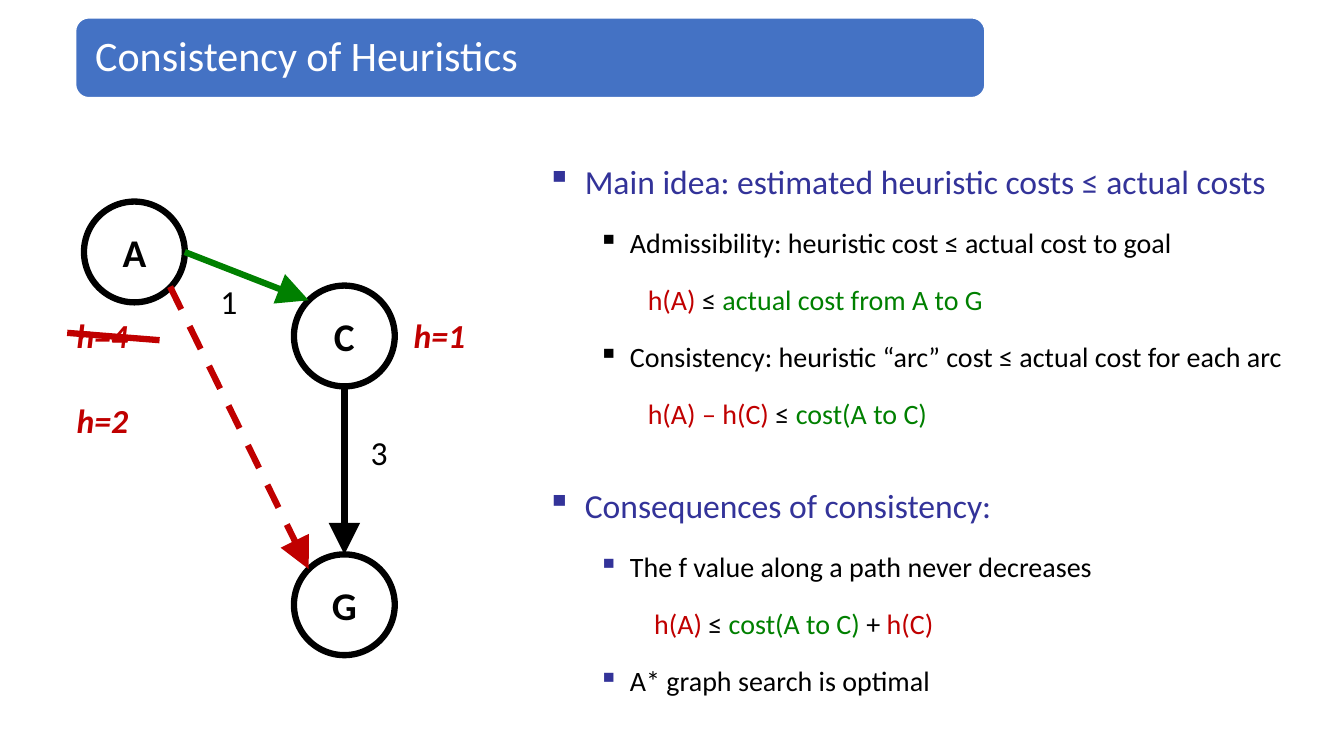
from dataclasses import dataclass

from lxml.etree import SubElement
from pptx import Presentation
from pptx.dml.color import RGBColor
from pptx.enum.dml import MSO_LINE
from pptx.enum.shapes import MSO_CONNECTOR, MSO_SHAPE
from pptx.enum.text import MSO_ANCHOR, PP_ALIGN
from pptx.oxml.ns import qn
from pptx.util import Emu, Pt

PX = 9525  # EMU per px, 96 px to the inch


@dataclass(frozen=True)
class Theme:
    font: str = "Calibri"
    black: str = "000000"
    white: str = "FFFFFF"
    banner: str = "4472C4"
    indigo: str = "333399"
    red: str = "C00000"
    green: str = "008000"
    title: int = 30
    node: int = 28
    heading: int = 24
    detail: int = 20
    stroke: float = 4.5


THEME = Theme()


class SlideBuilder:
    def __init__(self, page, theme):
        self.page = page
        self.theme = theme

    def frame(self, box, left=0, anchor=MSO_ANCHOR.TOP, wrap=True):
        text = box.text_frame
        text.word_wrap = wrap
        text.vertical_anchor = anchor
        text.margin_left = Emu(left * PX)
        text.margin_top = text.margin_right = text.margin_bottom = 0
        return text

    def span(self, para, words, size, color, bold=False, italic=False):
        run = para.add_run()
        run.text = words
        font = run.font
        font.name, font.size = self.theme.font, Pt(size)
        font.bold, font.italic = bold, italic
        font.color.rgb = RGBColor.from_string(color)

    def shape(self, kind, left, top, width, height, fill, line, weight):
        box = self.page.shapes.add_shape(
            kind, *(Emu(n * PX) for n in (left, top, width, height)))
        box.shadow.inherit = False
        box.fill.solid()
        box.fill.fore_color.rgb = RGBColor.from_string(fill)
        box.line.color.rgb = RGBColor.from_string(line)
        box.line.width = Pt(weight)
        return box

    def banner(self, words, left, top, width, height):
        theme = self.theme
        box = self.shape(MSO_SHAPE.ROUNDED_RECTANGLE, left, top, width, height,
                         theme.banner, theme.white, 1)
        para = self.frame(box, 15, MSO_ANCHOR.MIDDLE).paragraphs[0]
        para.alignment = PP_ALIGN.LEFT
        para.line_spacing = 0.9
        self.span(para, words, theme.title, theme.white)

    def node(self, name, left, top, size=96):
        theme = self.theme
        box = self.shape(MSO_SHAPE.OVAL, left, top, size, size,
                         theme.white, theme.black, theme.stroke)
        para = self.frame(box, 0, MSO_ANCHOR.MIDDLE, wrap=False).paragraphs[0]
        para.alignment = PP_ALIGN.CENTER
        self.span(para, name, theme.node, theme.black, bold=True)

    def edge(self, start, end, color, arrow=True, dashed=False):
        points = (Emu(n * PX) for n in (*start, *end))
        link = self.page.shapes.add_connector(MSO_CONNECTOR.STRAIGHT, *points)
        link.line.color.rgb = RGBColor.from_string(color)
        link.line.width = Pt(self.theme.stroke)
        if dashed:
            link.line.dash_style = MSO_LINE.DASH
        if arrow:
            SubElement(link.line._get_or_add_ln(), qn("a:tailEnd"),
                       type="triangle", w="lg", len="lg")
        SubElement(link._element.spPr, qn("a:effectLst"))

    def text_box(self, left, top, width, height, wrap=True):
        box = self.page.shapes.add_textbox(
            *(Emu(n * PX) for n in (left, top, width, height)))
        return self.frame(box, wrap=wrap)

    def label(self, words, left, top, color, strong=False):
        para = self.text_box(left, top, 52, 40, wrap=False).paragraphs[0]
        self.span(para, words, self.theme.heading, color, strong, strong)

    def outline(self, lines, left, top, width, height):
        text = self.text_box(left, top, width, height)
        for index, (before, size, indent, hang, bullet, spans) in enumerate(lines):
            para = text.add_paragraph() if index else text.paragraphs[0]
            if index:
                para.space_before = Pt(before)
            props = para._p.get_or_add_pPr()
            props.set("marL", str(indent * PX))
            props.set("indent", str(-hang * PX))
            if bullet:
                tint = SubElement(props, qn("a:buClr"))
                SubElement(tint, qn("a:srgbClr"), val=bullet)
                SubElement(props, qn("a:buChar"), char="▪")
            for words, color in spans:
                self.span(para, words, size, color)


# Kinds of outline line
def heading(words, before=0):
    return before, THEME.heading, 37, 36, THEME.indigo, [(words, THEME.indigo)]


def point(words, before=16.7, bullet=THEME.black):
    return before, THEME.detail, 80, 30, bullet, [(words, THEME.black)]


def formula(*spans, indent=97):
    return 16.7, THEME.detail, indent, 0, None, spans


def main():
    deck = Presentation()
    deck.slide_width, deck.slide_height = Emu(1280 * PX), Emu(720 * PX)
    page = deck.slides.add_slide(deck.slide_layouts[6])
    build = SlideBuilder(page, THEME)
    black, red, green = THEME.black, THEME.red, THEME.green

    build.banner("Consistency of Heuristics", 72, 17, 866, 76)

    # Search graph
    for name, left, top in (("A", 80, 192), ("C", 280, 272), ("G", 280, 528)):
        build.node(name, left, top)
    build.edge((328, 368), (328, 528), black)
    build.edge((162, 273), (294, 542), red, dashed=True)
    build.edge((176, 240), (294, 286), green)

    # Arc costs and heuristic values
    for cost, left, top in (("1", 210, 268), ("3", 353, 411)):
        build.label(cost, left, top, black)
    for value, left, top in (("h=4", 73, 300), ("h=2", 73, 381), ("h=1", 394, 300)):
        build.label(value, left, top, red, strong=True)
    build.edge((64, 317), (152, 324), red, arrow=False)

    # Explanation
    build.outline([
        heading("Main idea: estimated heuristic costs ≤ actual costs"),
        point("Admissibility: heuristic cost ≤ actual cost to goal", 17.8),
        formula(("h(A) ", red), ("≤ ", black), ("actual cost from A to G", green)),
        point("Consistency: heuristic “arc” cost ≤ actual cost for each arc"),
        formula(("h(A) – h(C) ", red), ("≤ ", black), ("cost(A to C)", green)),
        heading("Consequences of consistency:", 38.7),
        point("The f value along a path never decreases", 17.8, THEME.indigo),
        formula(("h(A) ", red), ("≤ ", black), ("cost(A to C) ", green),
                ("+ ", black), ("h(C)", red), indent=103),
        point("A* graph search is optimal", bullet=THEME.indigo),
    ], 520, 153, 720, 516)

    deck.save("out.pptx")


if __name__ == "__main__":
    main()
